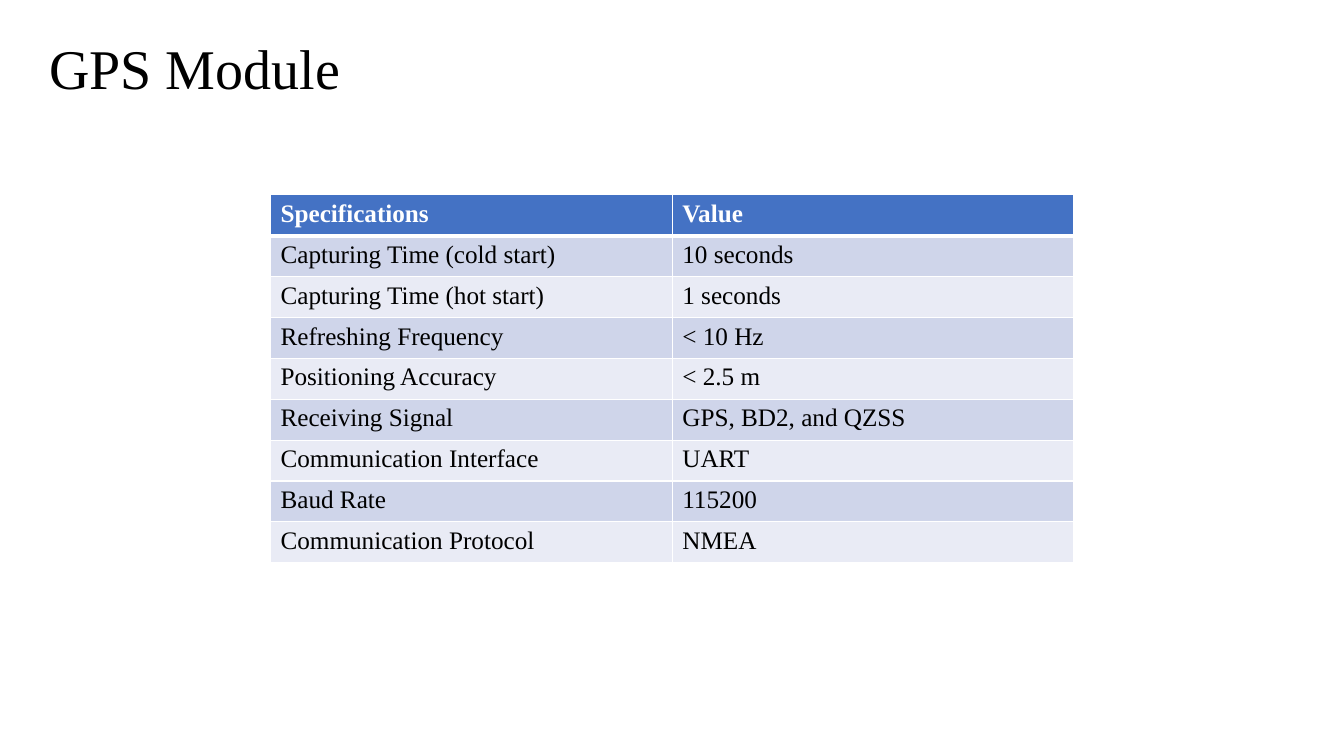
from lxml import etree
from pptx import Presentation
from pptx.dml.color import RGBColor
from pptx.enum.text import MSO_AUTO_SIZE
from pptx.oxml.ns import qn
from pptx.util import Pt

FIT_SHAPE = MSO_AUTO_SIZE.SHAPE_TO_FIT_TEXT

TITLE = "GPS Module"
SPECIFICATIONS = [
    ("Specifications", "Value"),
    ("Capturing Time (cold start)", "10 seconds"),
    ("Capturing Time (hot start)", "1 seconds"),
    ("Refreshing Frequency", "< 10 Hz"),
    ("Positioning Accuracy", "< 2.5 m"),
    ("Receiving Signal", "GPS, BD2, and QZSS"),
    ("Communication Interface", "UART"),
    ("Baud Rate", "115200"),
    ("Communication Protocol", "NMEA"),
]

THEME = {
    "font": "Times New Roman",
    "title_size": 40,
    "table_size": 18,
    "text": "000000",
    "header_text": "FFFFFF",
    "header_fill": "4472C4",
    "band_fills": ("E9EBF5", "CFD5EA"),
    "border": "FFFFFF",
}

SLIDE_SIZE = (960, 540)
TITLE_BOX = (28.1, 20.2, 645.8, 55.4)
TABLE_LEFT, TABLE_TOP = 193.2, 139.2
COLUMN_WIDTH, ROW_HEIGHT = 287, 29.2
THIN, THICK = 1, 3


def write_text(text_frame, text, size, color=THEME["text"], bold=False):
    paragraph = text_frame.paragraphs[0]
    run = paragraph.add_run()
    run.text = text
    run.font.name = THEME["font"]
    run.font.size = Pt(size)
    run.font.bold = bold
    run.font.color.rgb = RGBColor.from_string(color)


def add_borders(cell, top, bottom):
    properties = cell._tc.get_or_add_tcPr()
    widths = {"a:lnL": THIN, "a:lnR": THIN, "a:lnT": top, "a:lnB": bottom}
    for side, width in widths.items():
        line = etree.SubElement(properties, qn(side), w=str(Pt(width)))
        fill = etree.SubElement(line, qn("a:solidFill"))
        etree.SubElement(fill, qn("a:srgbClr"), val=THEME["border"])


def add_title(slide):
    shape = slide.shapes.add_textbox(*map(Pt, TITLE_BOX))
    shape.text_frame.word_wrap = True
    shape.text_frame.auto_size = FIT_SHAPE
    write_text(shape.text_frame, TITLE, THEME["title_size"])


def add_specifications(slide):
    row_count, column_count = len(SPECIFICATIONS), len(SPECIFICATIONS[0])
    table = slide.shapes.add_table(
        row_count, column_count, Pt(TABLE_LEFT), Pt(TABLE_TOP),
        Pt(COLUMN_WIDTH * column_count), Pt(ROW_HEIGHT * row_count),
    ).table
    for column in table.columns:
        column.width = Pt(COLUMN_WIDTH)
    for row_index, values in enumerate(SPECIFICATIONS):
        table.rows[row_index].height = Pt(ROW_HEIGHT)
        header = row_index == 0
        fill = THEME["header_fill"] if header else THEME["band_fills"][row_index % 2]
        color = THEME["header_text"] if header else THEME["text"]
        for column_index, value in enumerate(values):
            cell = table.cell(row_index, column_index)
            add_borders(cell, THICK if row_index == 1 else THIN, THICK if header else THIN)
            cell.fill.solid()
            cell.fill.fore_color.rgb = RGBColor.from_string(fill)
            write_text(cell.text_frame, value, THEME["table_size"], color=color, bold=header)


def main():
    presentation = Presentation()
    presentation.slide_width, presentation.slide_height = map(Pt, SLIDE_SIZE)
    slide = presentation.slides.add_slide(presentation.slide_layouts[6])
    add_title(slide)
    add_specifications(slide)
    presentation.save("out.pptx")


if __name__ == "__main__":
    main()
